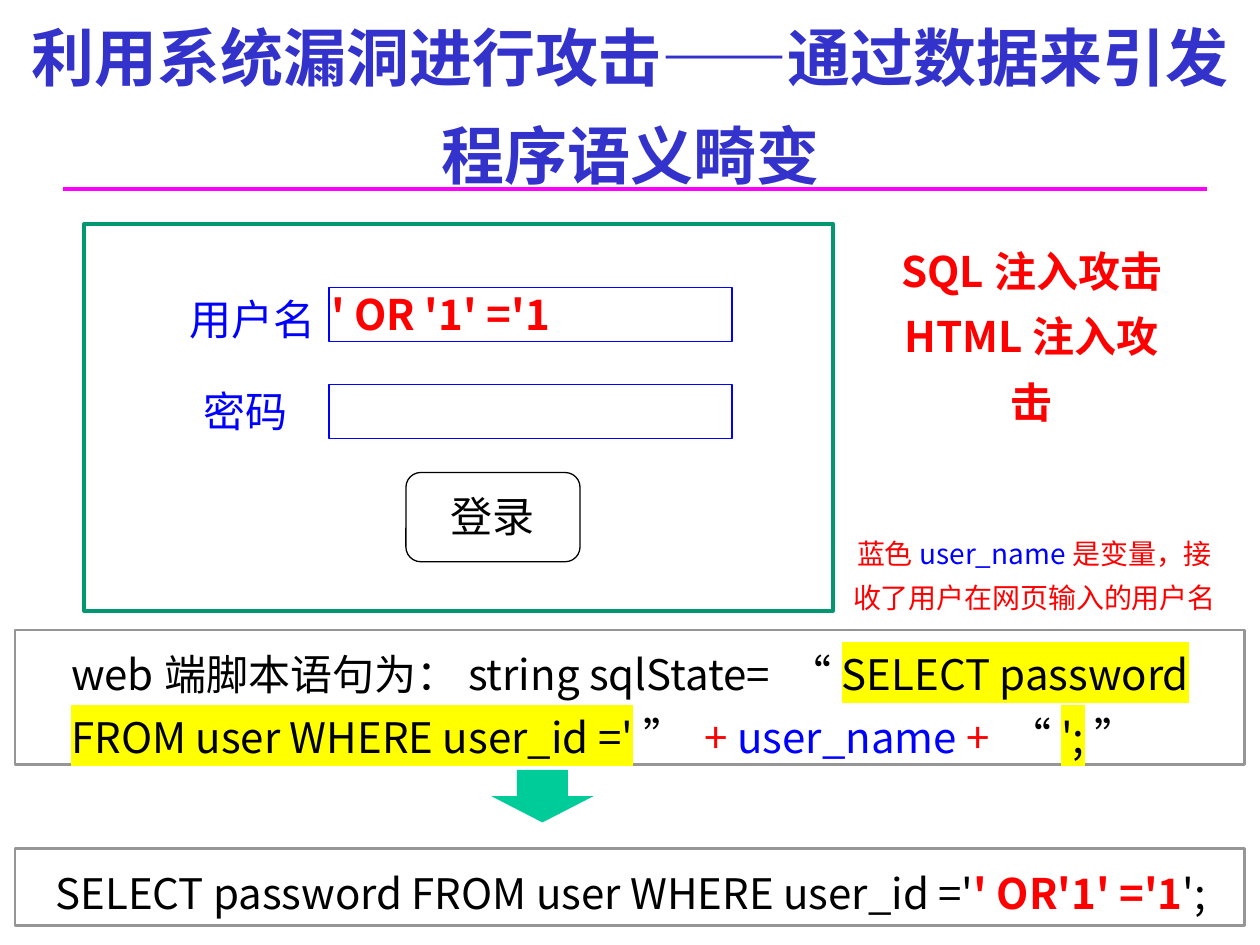
from lxml.etree import SubElement
from pptx import Presentation
from pptx.dml.color import RGBColor
from pptx.enum.shapes import MSO_CONNECTOR, MSO_SHAPE
from pptx.enum.text import MSO_ANCHOR, MSO_AUTO_SIZE, PP_ALIGN
from pptx.oxml.ns import qn
from pptx.util import Pt

FONT = "Noto Sans CJK SC"
BLACK = RGBColor(0x00, 0x00, 0x00)
BLUE = RGBColor(0x00, 0x00, 0xFF)
RED = RGBColor(0xFF, 0x00, 0x00)
INDIGO = RGBColor(0x33, 0x33, 0xCC)
MAGENTA = RGBColor(0xFF, 0x00, 0xFF)
GREEN = RGBColor(0x00, 0x97, 0x71)
MINT = RGBColor(0x00, 0xCC, 0x99)
GRAY = RGBColor(0x96, 0x96, 0x96)
YELLOW = RGBColor(0xFF, 0xFF, 0x00)

PANEL_LEFT, PANEL_WIDTH = 8.64, 702.72
FIELD_LEFT, FIELD_WIDTH, FIELD_HEIGHT = 188, 230.4, 31


def place(item, left, top, width, height):
    item.left, item.top = Pt(left), Pt(top)
    item.width, item.height = Pt(width), Pt(height)


def add_span(para, text, color, size=24, bold=False, highlight=None):
    span = para.add_run()
    span.text = text
    font = span.font
    font.size = Pt(size)
    font.bold = bold
    font.color.rgb = color
    properties = span._r.get_or_add_rPr()
    if highlight is not None:
        marker = SubElement(properties, qn("a:highlight"))
        SubElement(marker, qn("a:srgbClr"), val=str(highlight))
    font.name = FONT
    SubElement(properties, qn("a:ea"), typeface=FONT)


def add_title(page, text):
    title = page.shapes.title
    place(title, PANEL_LEFT, 8, PANEL_WIDTH, 91.4)
    frame = title.text_frame
    frame.auto_size = MSO_AUTO_SIZE.NONE
    frame.word_wrap = True
    frame.vertical_anchor = MSO_ANCHOR.MIDDLE
    para = frame.paragraphs[0]
    para.alignment = PP_ALIGN.CENTER
    para.line_spacing = 1.3
    add_span(para, text, INDIGO, 36, True)


def add_rule(page, left, right, top):
    rule = page.shapes.add_connector(
        MSO_CONNECTOR.STRAIGHT, Pt(left), Pt(top), Pt(right), Pt(top))
    rule.line.color.rgb = MAGENTA
    rule.line.width = Pt(2)
    SubElement(rule._element.spPr, qn("a:effectLst"))


def add_outline(page, kind, left, top, width, height, color, weight):
    shape = page.shapes.add_shape(kind, Pt(left), Pt(top), Pt(width), Pt(height))
    shape.shadow.inherit = False
    shape.fill.background()
    shape.line.color.rgb = color
    shape.line.width = Pt(weight)
    return shape


def add_arrow(page, left, top, width, height):
    arrow = page.shapes.add_shape(
        MSO_SHAPE.DOWN_ARROW, Pt(left), Pt(top), Pt(width), Pt(height))
    arrow.shadow.inherit = False
    arrow.fill.solid()
    arrow.fill.fore_color.rgb = MINT
    arrow.line.fill.background()


def add_label(page, text, left, top, width, color, bold=False):
    box = page.shapes.add_textbox(Pt(left), Pt(top), Pt(width), Pt(36))
    box.text_frame.word_wrap = False
    add_span(box.text_frame.paragraphs[0], text, color, bold=bold)


def add_note(page, left, top, width, height, lines, size, bold=False):
    box = page.shapes.add_textbox(Pt(left), Pt(top), Pt(width), Pt(height))
    frame = box.text_frame
    frame.word_wrap = True
    for index, spans in enumerate(lines):
        para = frame.add_paragraph() if index else frame.paragraphs[0]
        para.alignment = PP_ALIGN.CENTER
        para.line_spacing = 1.3
        for text, color in spans:
            add_span(para, text, color, size, bold)


def add_code_panel(page, top, height, indent, spans):
    panel = add_outline(page, MSO_SHAPE.RECTANGLE, PANEL_LEFT, top,
                        PANEL_WIDTH, height, GRAY, 1.5)
    frame = panel.text_frame
    frame.word_wrap = True
    frame.vertical_anchor = MSO_ANCHOR.TOP
    para = frame.paragraphs[0]
    para.alignment = PP_ALIGN.LEFT
    para.line_spacing = 1.25
    para._p.get_or_add_pPr().set("marL", str(Pt(indent)))
    for text, color, bold, highlight in spans:
        add_span(para, text, color, bold=bold, highlight=highlight)


def add_login_form(page):
    add_outline(page, MSO_SHAPE.RECTANGLE, 48, 128, 428, 221, GREEN, 2.25)
    for top in (164.3, 219.6):
        add_outline(page, MSO_SHAPE.RECTANGLE, FIELD_LEFT, top,
                    FIELD_WIDTH, FIELD_HEIGHT, BLUE, 0.75)
    add_outline(page, MSO_SHAPE.ROUNDED_RECTANGLE, 232, 270, 99.5, 51, BLACK, 0.75)
    add_label(page, "用户名", 101.5, 164.3, 86.4, BLUE)
    add_label(page, "密码", 109.5, 216.7, 62.6, BLUE)
    add_label(page, "登录", 250.5, 276.5, 62.6, BLACK)
    add_label(page, "' OR '1' ='1", 182.2, 161.3, 157, RED, True)


def main():
    deck = Presentation()
    deck.slide_width, deck.slide_height = Pt(720), Pt(540)
    page = deck.slides.add_slide(deck.slide_layouts[5])
    add_rule(page, 36, 690, 108)
    add_title(page, "利用系统漏洞进行攻击——通过数据来引发程序语义畸变")
    add_login_form(page)
    add_note(page, 498.2, 128, 182.9, 82.8,
             [[("SQL注入攻击", RED)], [("HTML注入攻击", RED)]], 24, True)
    add_note(page, 476, 297.4, 230.4, 55.4,
             [[("蓝色", RED), ("user_name", BLUE),
               ("是变量，接收了用户在网页输入的用户名", RED)]], 16)
    add_code_panel(page, 360, 77, 25, [
        ("web端脚本语句为：string sqlState= “", BLACK, False, None),
        ("SELECT password FROM user WHERE user_id ='", BLACK, False, YELLOW),
        ("” ", BLACK, False, None),
        ("+ ", RED, False, None),
        ("user_name ", BLUE, False, None),
        ("+", RED, False, None),
        (" “", BLACK, False, None),
        ("';", BLACK, False, YELLOW),
        ("”", BLACK, False, None),
    ])
    add_arrow(page, 280.8, 440, 58.3, 30)
    add_code_panel(page, 485, 44, 16, [
        ("SELECT password FROM user WHERE user_id ='", BLACK, False, None),
        ("' OR'1' ='1", RED, True, None),
        ("';", BLACK, False, None),
    ])
    deck.save("out.pptx")


if __name__ == "__main__":
    main()
